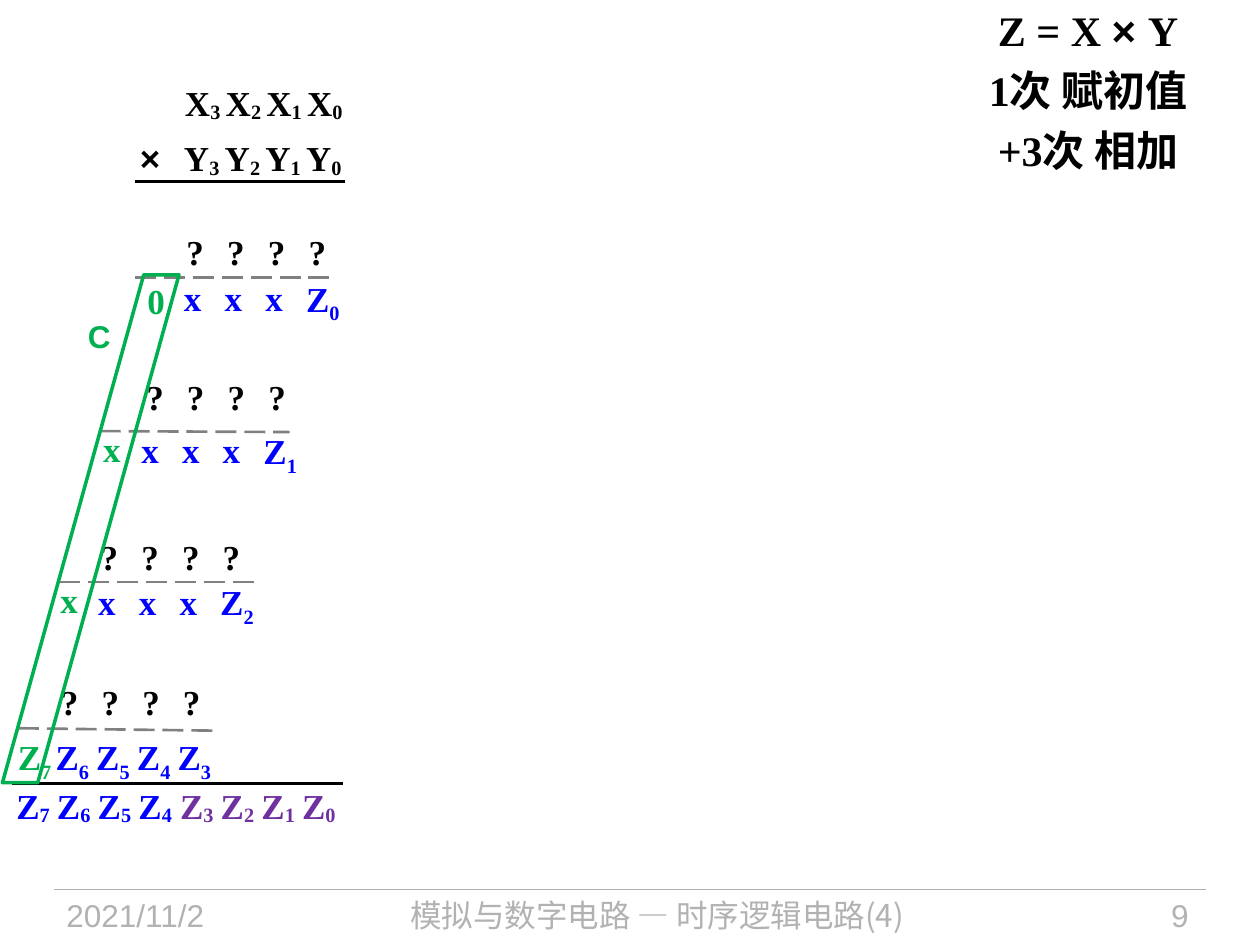
import pptx
import pptx.util
import pptx.dml.color
import pptx.enum.dml
import pptx.enum.shapes
import pptx.enum.text
import pptx.oxml.ns
import lxml.etree

Cm = pptx.util.Cm
Pt = pptx.util.Pt
ALIGN = pptx.enum.text.PP_ALIGN
COLORS = {
    "black": "000000",
    "blue": "0000FF",
    "green": "00B050",
    "purple": "7030A0",
    "dash": "808080",
    "footer": "B2B2B2",
}
SERIF, SANS, CHINESE = "Times New Roman", "Arial", "Noto Sans CJK SC"
PITCH = 0.82


class SlideBuilder:
    def __init__(self, slide):
        self.slide = slide

    def color(self, name):
        return pptx.dml.color.RGBColor.from_string(COLORS[name])

    def format_run(self, span, font, size, color, bold):
        span.font.name = font
        span.font.size = Pt(size)
        span.font.bold = bold
        span.font.color.rgb = self.color(color)
        east_asian = lxml.etree.SubElement(
            span._r.get_or_add_rPr(), pptx.oxml.ns.qn("a:ea"))
        east_asian.set("typeface", CHINESE)

    def frame(self, left, top, width, height, wrap, inset=True):
        box = self.slide.shapes.add_textbox(Cm(left), Cm(top), Cm(width), Cm(height))
        frame = box.text_frame
        frame.word_wrap = wrap
        if not inset:
            frame.margin_left = frame.margin_right = 0
            frame.margin_top = frame.margin_bottom = 0
        return frame

    def label(self, text, left, top, width, height, font, color,
              align=ALIGN.LEFT, bold=False):
        frame = self.frame(left, top, width, height, True)
        frame.text = text
        para = frame.paragraphs[0]
        para.alignment = align
        self.format_run(para.runs[0], font, 18, color, bold)

    def symbol(self, token, left, top, color, font=SERIF, baseline=-10):
        letter, index = token[0], token[1:]
        frame = self.frame(left, top, 0.72 if index else 0.36, 0.94, False, False)
        frame.auto_size = pptx.enum.text.MSO_AUTO_SIZE.SHAPE_TO_FIT_TEXT
        para = frame.paragraphs[0]
        para.line_spacing = 1.1
        para.space_after = Pt(2)
        for text in filter(None, (letter, index)):
            span = para.add_run()
            span.text = text
            self.format_run(span, font, 20, color, True)
        if index:
            span._r.get_or_add_rPr().set("baseline", str(baseline * 1000))

    def row(self, tokens, left, top, color, baseline=-10):
        for column, token in enumerate(tokens.split()):
            self.symbol(token, left + column * PITCH, top, color, baseline=baseline)

    def heading(self, lines, left, top, width, height):
        frame = self.frame(left, top, width, height, True, False)
        frame.text = "\n".join("".join(parts) for parts in lines)
        for para, parts in zip(frame.paragraphs, lines):
            para.text = parts[0]
            for part in parts[1:]:
                para.add_run().text = part
            para.alignment = ALIGN.CENTER
            para.line_spacing = 1.1
            para.space_after = Pt(2.4)
            for span in para.runs:
                font = SANS if "×" in span.text else SERIF
                self.format_run(span, font, 24, "black", True)

    def line(self, start, end, color, width=1.5, dashed=False):
        connector = self.slide.shapes.add_connector(
            pptx.enum.shapes.MSO_CONNECTOR.STRAIGHT,
            Cm(start[0]), Cm(start[1]), Cm(end[0]), Cm(end[1]))
        connector.line.color.rgb = self.color(color)
        connector.line.width = Pt(width)
        if dashed:
            connector.line.dash_style = pptx.enum.dml.MSO_LINE.LONG_DASH
        lxml.etree.SubElement(
            connector._element.spPr, pptx.oxml.ns.qn("a:effectLst"))

    def parallelogram(self, left, top, width, height, slant, color):
        shape = self.slide.shapes.add_shape(
            pptx.enum.shapes.MSO_SHAPE.PARALLELOGRAM,
            Cm(left), Cm(top), Cm(width), Cm(height))
        shape.adjustments[0] = slant
        shape.shadow.inherit = False
        shape.fill.background()
        shape.line.color.rgb = self.color(color)
        shape.line.width = Pt(2)


def main():
    deck = pptx.Presentation()
    deck.slide_width, deck.slide_height = Cm(25.4), Cm(19.05)
    page = SlideBuilder(deck.slides.add_slide(deck.slide_layouts[6]))

    page.line((1.09, 17.93), (24.31, 17.93), "footer", 0.75)
    for text, left, width, font, align in (
        ("2021/11/2", 1.09, 4.78, SANS, ALIGN.LEFT),
        ("模拟与数字电路 — 时序逻辑电路(4)", 6.1, 14.3, CHINESE, ALIGN.CENTER),
        ("9", 20.83, 3.38, SANS, ALIGN.RIGHT),
    ):
        page.label(text, left, 17.93, width, 1.12, font, "footer", align)

    page.row("X3 X2 X1 X0", 3.73, 1.55, "black")
    page.row("Y3 Y2 Y1 Y0", 3.71, 2.67, "black")
    page.symbol("×", 2.82, 2.67, "black", SANS)
    page.line((2.72, 3.66), (6.96, 3.66), "black")

    steps = (
        ((3.76, 4.57), (2.72, 5.59), (6.76, 5.59),
         "0", (2.97, 5.56), "x x x Z0", (3.71, 5.49)),
        ((2.95, 7.49), (2.01, 8.69), (5.84, 8.71),
         "x", (2.08, 8.53), "x x x Z1", (2.85, 8.56)),
        ((2.03, 10.72), (1.19, 11.73), (5.21, 11.73),
         "x", (1.22, 11.58), "x x x Z2", (1.98, 11.61)),
        ((1.23, 13.64), (0.36, 14.68), (4.42, 14.73),
         "Z7", (0.36, 14.73), "Z6 Z5 Z4 Z3", (1.12, 14.73)),
    )
    for addend, dash_start, dash_end, carry, carry_at, total, total_at in steps:
        page.row("? ? ? ?", *addend, "black")
        page.line(dash_start, dash_end, "dash", dashed=True)
        page.row(carry, *carry_at, "green", -25)
        page.row(total, *total_at, "blue", -25)

    page.line((0.25, 15.8), (6.91, 15.8), "black")
    page.row("Z7 Z6 Z5 Z4", 0.33, 15.72, "blue")
    page.row("Z3 Z2 Z1 Z0", 3.63, 15.72, "purple")

    page.heading((("Z = X ", "× ", "Y"), ("1次 赋初值",), ("+3次 相加",)),
                 19.89, 0, 4.09, 3.58)
    page.label("C", 1.52, 6.27, 1.3, 1.02, SANS, "green", bold=True)
    page.parallelogram(0.05, 5.54, 3.56, 10.24, 0.8, "green")

    deck.save("out.pptx")


if __name__ == "__main__":
    main()
